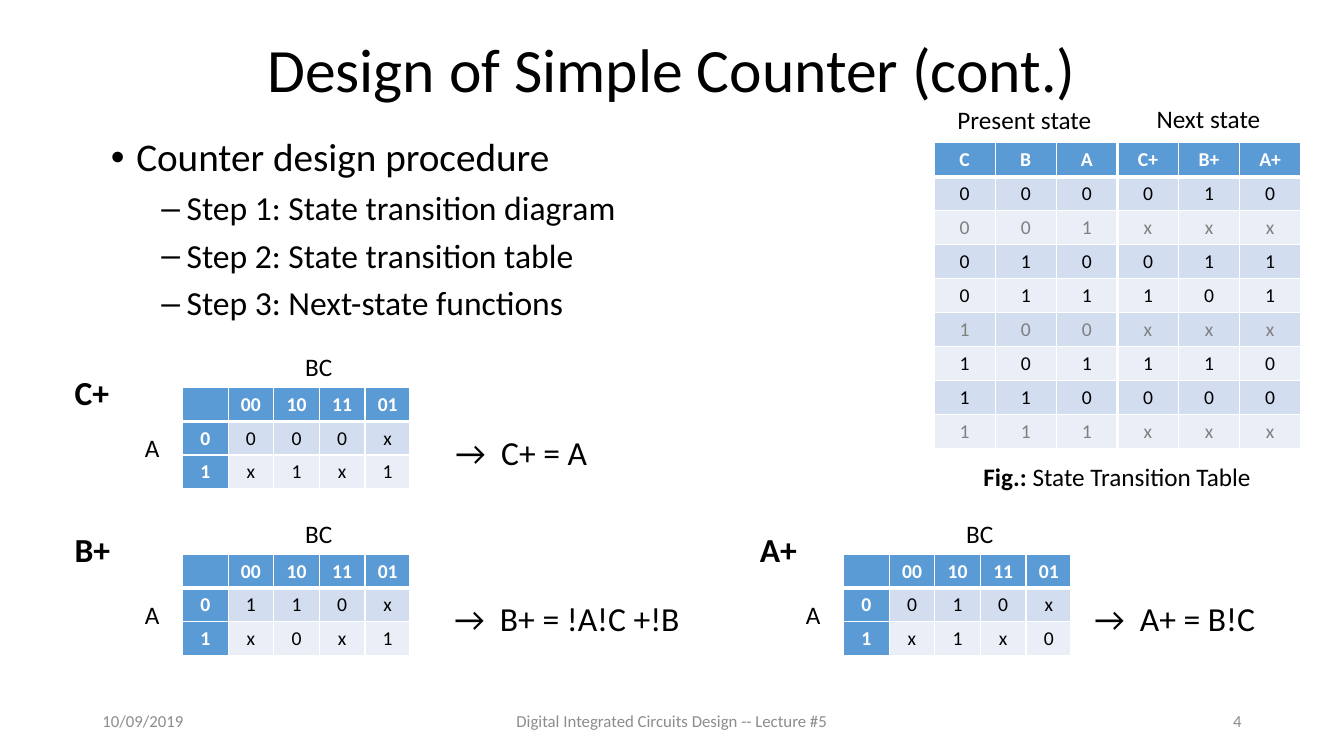
from dataclasses import dataclass
from itertools import product

from pptx import Presentation
from pptx.dml.color import RGBColor
from pptx.enum.text import MSO_ANCHOR, MSO_AUTO_SIZE, PP_ALIGN
from pptx.oxml.ns import qn
from pptx.oxml.xmlchemy import OxmlElement
from pptx.util import Cm, Pt

LEFT, CENTER, RIGHT = PP_ALIGN.LEFT, PP_ALIGN.CENTER, PP_ALIGN.RIGHT


@dataclass(frozen=True)
class Theme:
    font: str = "Calibri"
    ink: str = "000000"
    paper: str = "FFFFFF"
    footer_ink: str = "8C8C8C"
    unused_ink: str = "808080"
    header: str = "5B9BD5"
    bands: tuple = ("D2DEEF", "EAEFF7")
    title_size: int = 44
    topic_size: int = 28
    step_size: int = 24
    label_size: int = 18
    cell_size: int = 14
    footer_size: int = 12
    thin: int = 1
    thick: int = 3


THEME = Theme()
ROW_HEIGHT = 0.82
STATE_COLUMN = 1.54
MAP_COLUMN = 1.15


def style(paragraph, size, color=THEME.ink, bold=False, align=LEFT):
    paragraph.alignment = align
    font = paragraph.font
    font.name, font.size, font.bold = THEME.font, Pt(size), bold
    font.color.rgb = RGBColor.from_string(color)


def place(shape, left, top, width, height):
    shape.left, shape.top = Cm(left), Cm(top)
    shape.width, shape.height = Cm(width), Cm(height)


def add_title(slide, text):
    title = slide.shapes.title
    place(title, 2.33, 0.83, 29.21, 2)
    title.text_frame.text = text
    title.text_frame.vertical_anchor = MSO_ANCHOR.MIDDLE
    title.text_frame.auto_size = MSO_AUTO_SIZE.NONE
    heading = title.text_frame.paragraphs[0]
    heading.line_spacing = 0.9
    style(heading, THEME.title_size, align=CENTER)


def add_procedure(slide, topic, steps):
    body = slide.placeholders[1]
    place(body, 2.54, 3.35, 29.21, 5.28)
    frame = body.text_frame
    frame.text = "\n".join([topic, *steps])
    frame.auto_size = MSO_AUTO_SIZE.NONE
    for number, line in enumerate(frame.paragraphs):
        is_step = number > 0
        line.level = int(is_step)
        line.line_spacing = 0.9
        line.space_before = Pt(8 if is_step else 12)
        style(line, THEME.step_size if is_step else THEME.topic_size)
        # Hanging indent with its bullet
        properties = line._p.get_or_add_pPr()
        properties.set("marL", str(Cm(1.91 if is_step else 0.64)))
        properties.set("indent", str(-Cm(0.64)))
        bullet = OxmlElement("a:buChar")
        bullet.set("char", "–" if is_step else "•")
        properties.find(qn("a:defRPr")).addprevious(bullet)


def add_label(slide, text, left, top, width, height=1.02, wrap=False,
              anchor=MSO_ANCHOR.TOP, size=THEME.label_size, **look):
    label = slide.shapes.add_textbox(Cm(left), Cm(top), Cm(width), Cm(height))
    frame = label.text_frame
    frame.word_wrap = wrap
    frame.auto_size = (MSO_AUTO_SIZE.NONE if wrap
                       else MSO_AUTO_SIZE.SHAPE_TO_FIT_TEXT)
    frame.vertical_anchor = anchor
    frame.text = text
    style(frame.paragraphs[0], size, **look)
    return frame.paragraphs[0]


def set_borders(cell, thick_sides):
    properties = cell._tc.get_or_add_tcPr()
    for side in "LRTB":
        line = OxmlElement(f"a:ln{side}")
        weight = THEME.thick if side in thick_sides else THEME.thin
        line.set("w", str(Pt(weight)))
        fill, color = OxmlElement("a:solidFill"), OxmlElement("a:srgbClr")
        color.set("val", THEME.paper)
        fill.append(color)
        line.append(fill)
        properties.append(line)


def fill_cell(cell, text, fill, ink, bold, thick_sides):
    set_borders(cell, thick_sides)
    cell.fill.solid()
    cell.fill.fore_color.rgb = RGBColor.from_string(fill)
    cell.text = text
    entry = cell.text_frame.paragraphs[0]
    style(entry, THEME.cell_size, ink, bold, CENTER)
    if not text:  # keeps the empty corner as low as its row
        ending = OxmlElement("a:endParaRPr")
        ending.set("sz", str(THEME.cell_size * 100))
        entry._p.append(ending)


def add_grid(slide, rows, left, top, column, header_column=False,
             thick_left=False, thick_right=False, unused=()):
    count, last = len(rows), len(rows[0]) - 1
    table = slide.shapes.add_table(
        count, last + 1, Cm(left), Cm(top),
        Cm(column * (last + 1)), Cm(ROW_HEIGHT * count)).table
    table.first_row = table.horz_banding = False
    for grid_column in table.columns:
        grid_column.width = Cm(column)
    for r, row in enumerate(rows):
        table.rows[r].height = Cm(ROW_HEIGHT)
        for c, text in enumerate(row):
            is_header = r == 0 or (header_column and c == 0)
            fill = THEME.header if is_header else THEME.bands[(r - 1) % 2]
            ink = (THEME.paper if is_header else
                   THEME.unused_ink if r in unused else THEME.ink)
            sides = {0: "B", 1: "T"}.get(r, "")
            sides += "L" if thick_left and c == 0 else ""
            sides += "R" if thick_right and c == last else ""
            fill_cell(table.cell(r, c), text, fill, ink, is_header, sides)


def add_state_table(slide, left, top):
    present = list(product("01", repeat=3))
    following = ["010", "xxx", "011", "101", "xxx", "110", "000", "xxx"]
    unused = [r for r, state in enumerate(following, 1) if "x" in state]
    add_grid(slide, ["CBA", *present], left, top, STATE_COLUMN,
             thick_right=True, unused=unused)
    add_grid(slide, [["C+", "B+", "A+"], *following],
             left + 3 * STATE_COLUMN, top, STATE_COLUMN,
             thick_left=True, unused=unused)
    add_label(slide, "Present state", 23.88, 2.51, 3.91)
    add_label(slide, "Next state", 28.88, 2.48, 3.15, align=CENTER)
    # Caption with a bold lead
    caption = add_label(slide, "", 24.49, 11.51, 7.32, align=CENTER)
    for text, bold in (("Fig.: ", True), ("State Transition Table", False)):
        part = caption.add_run()
        part.text, part.font.bold = text, bold


def add_karnaugh_map(slide, name, values, left, top, name_at, result, result_at):
    rows = [["", "00", "10", "11", "01"]]
    rows += [[a, *outputs] for a, outputs in zip("01", values)]
    add_grid(slide, rows, left, top, MAP_COLUMN,
             header_column=True, thick_right=True)
    add_label(slide, "BC", left + 2.84, top - 1.03, 1.2)
    add_label(slide, "A", left - 1.2, top + 1, 0.9)
    add_label(slide, name, *name_at, 1.5, 1.28, size=THEME.step_size, bold=True)
    add_label(slide, f"→  {name} = {result}", *result_at, 1.28,
              size=THEME.step_size)


def add_footer(slide):
    for text, left, width, align in (
            ("10/09/2019", 2.33, 7.62, LEFT),
            ("Digital Integrated Circuits Design -- Lecture #5",
             11.22, 11.43, CENTER),
            ("4", 23.92, 7.62, RIGHT)):
        add_label(slide, text, left, 17.65, width, wrap=True,
                  anchor=MSO_ANCHOR.MIDDLE, size=THEME.footer_size,
                  color=THEME.footer_ink, align=align)


def main():
    deck = Presentation()
    deck.slide_width, deck.slide_height = Cm(33.87), Cm(19.05)
    slide = deck.slides.add_slide(deck.slide_layouts[1])

    # Heading and procedure
    add_title(slide, "Design of Simple Counter (cont.)")
    add_procedure(slide, "Counter design procedure", [
        "Step 1: State transition diagram",
        "Step 2: State transition table",
        "Step 3: Next-state functions"])

    # Transition table and next-state functions
    add_state_table(slide, 23.54, 3.6)
    add_karnaugh_map(slide, "C+", ["000x", "x1x1"], 4.6, 9.77,
                     (1.63, 9.25), "A", (11.23, 10.77, 3.9))
    add_karnaugh_map(slide, "B+", ["110x", "x0x1"], 4.6, 13.97,
                     (1.63, 13.21), "!A!C +!B", (11.2, 14.94, 6.3))
    add_karnaugh_map(slide, "A+", ["010x", "x1x0"], 21.26, 13.97,
                     (18.9, 13.21), "B!C", (27.33, 14.94, 4.65))

    add_footer(slide)
    deck.save("out.pptx")


if __name__ == "__main__":
    main()
